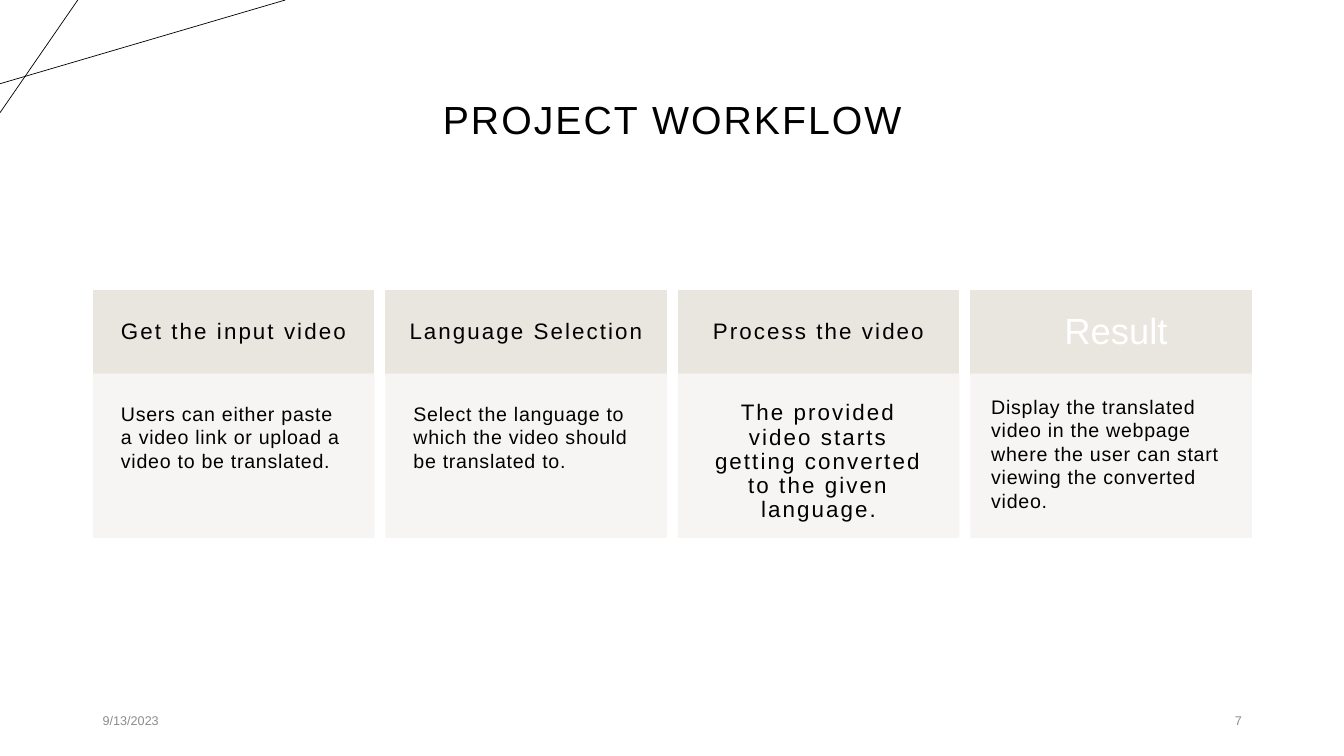
from lxml import etree
from pptx import Presentation
from pptx.dml.color import RGBColor
from pptx.enum.shapes import MSO_CONNECTOR, MSO_SHAPE
from pptx.enum.text import MSO_ANCHOR, PP_ALIGN
from pptx.oxml.ns import qn
from pptx.util import Cm, Pt

LEFT, CENTER, RIGHT = PP_ALIGN.LEFT, PP_ALIGN.CENTER, PP_ALIGN.RIGHT
TOP, MIDDLE = MSO_ANCHOR.TOP, MSO_ANCHOR.MIDDLE
RECTANGLE, STRAIGHT = MSO_SHAPE.RECTANGLE, MSO_CONNECTOR.STRAIGHT

COLORS = {
    "ink": "000000",
    "white": "FFFFFF",
    "header": "E9E6DF",
    "body": "F7F5F3",
    "footer": "8C8C8C",
}


class SlideBuilder:
    font = "Arial"

    def __init__(self, slide):
        self.s = slide

    def color(self, name):
        return RGBColor.from_string(COLORS[name])

    def line(self, x1, y1, x2, y2):
        c = self.s.shapes.add_connector(STRAIGHT, Cm(x1), Cm(y1), Cm(x2), Cm(y2))
        c.line.color.rgb = self.color("ink")
        c.line.width = Pt(0.5)
        etree.SubElement(c._element.spPr, qn("a:effectLst"))

    def box(self, x, y, w, h, color, opacity=100):
        sp = self.s.shapes.add_shape(RECTANGLE, Cm(x), Cm(y), Cm(w), Cm(h))
        sp.shadow.inherit = False
        sp.fill.solid()
        sp.fill.fore_color.rgb = self.color(color)
        sp.line.color.rgb = self.color(color)
        sp.line.width = Pt(1)
        if opacity < 100:
            for clr in sp._element.spPr.iter(qn("a:srgbClr")):
                etree.SubElement(clr, qn("a:alpha"), val=str(opacity * 1000))
        return sp

    def text_box(self, x, y, w, h, text, **style):
        sp = self.s.shapes.add_textbox(Cm(x), Cm(y), Cm(w), Cm(h))
        self.set_text(sp, text, **style)

    def set_text(self, sp, text, size, color="ink", align=LEFT, anchor=MIDDLE,
                 spacing=0, leading=1.0, insets=(0.25, 0.13, 0.25, 0.13)):
        tf = sp.text_frame
        tf.word_wrap = True
        tf.vertical_anchor = anchor
        tf.margin_left, tf.margin_top, tf.margin_right, tf.margin_bottom = map(Cm, insets)
        tf.text = text
        p = tf.paragraphs[0]
        p.alignment = align
        p.line_spacing = leading
        r = p.runs[0]
        r.font.name = self.font
        r.font.size = Pt(size)
        r.font.color.rgb = self.color(color)
        if spacing:
            r._r.get_or_add_rPr().set("spc", str(round(spacing * 100)))


# Text styles
HEADING = dict(size=16, align=CENTER, spacing=1.5, leading=0.9, insets=(0.56,) * 4)
RESULT = dict(size=26, color="white", align=CENTER, leading=0.9,
              insets=(0.5, 0.25, 0.25, 0.25))
DETAIL = dict(size=14, anchor=TOP, spacing=0.5, insets=(0.69,) * 4)
WIDE_DETAIL = HEADING | dict(anchor=TOP, insets=(0.69,) * 4)
RESULT_DETAIL = DETAIL | dict(insets=(0.51,) * 4)

STEPS = [
    ("Get the input video", HEADING,
     "Users can either paste a video link or upload a video to be translated.", DETAIL),
    ("Language Selection", HEADING,
     "Select the language to which the video should be translated to.", DETAIL),
    ("Process the video", HEADING,
     "The provided video starts getting converted to the given language.", WIDE_DETAIL),
    ("Result", RESULT,
     "Display the translated video in the webpage where the user can start "
     "viewing the converted video.", RESULT_DETAIL),
]

# Card grid, in centimetres
CARD_LEFT, CARD_WIDTH, CARD_PITCH = 2.36, 7.06, 7.37
CARD_TOP, HEADER_HEIGHT, BODY_HEIGHT = 7.32, 2.11, 4.11


def main():
    prs = Presentation()
    prs.slide_width, prs.slide_height = Cm(33.87), Cm(19.05)
    b = SlideBuilder(prs.slides.add_slide(prs.slide_layouts[6]))

    # Corner lines
    b.line(0, 2.11, 7.19, 0)
    b.line(1.96, 0, 0, 2.84)

    # Title
    b.text_box(2.34, 1.24, 29.21, 3.68, "PROJECT WORKFLOW",
               size=28, align=CENTER, spacing=1.5, leading=0.9)

    # Workflow cards
    for i, (heading, heading_style, detail, detail_style) in enumerate(STEPS):
        x = CARD_LEFT + i * CARD_PITCH
        header = b.box(x, CARD_TOP, CARD_WIDTH, HEADER_HEIGHT, "header")
        b.set_text(header, heading, **heading_style)
        body = b.box(x, CARD_TOP + HEADER_HEIGHT, CARD_WIDTH, BODY_HEIGHT, "body", 90)
        b.set_text(body, detail, **detail_style)

    # Footer
    b.text_box(2.34, 17.65, 7.62, 1.02, "9/13/2023", size=9, color="footer")
    b.text_box(23.93, 17.65, 7.62, 1.02, "7", size=9, color="footer", align=RIGHT)

    prs.save("out.pptx")


if __name__ == "__main__":
    main()
